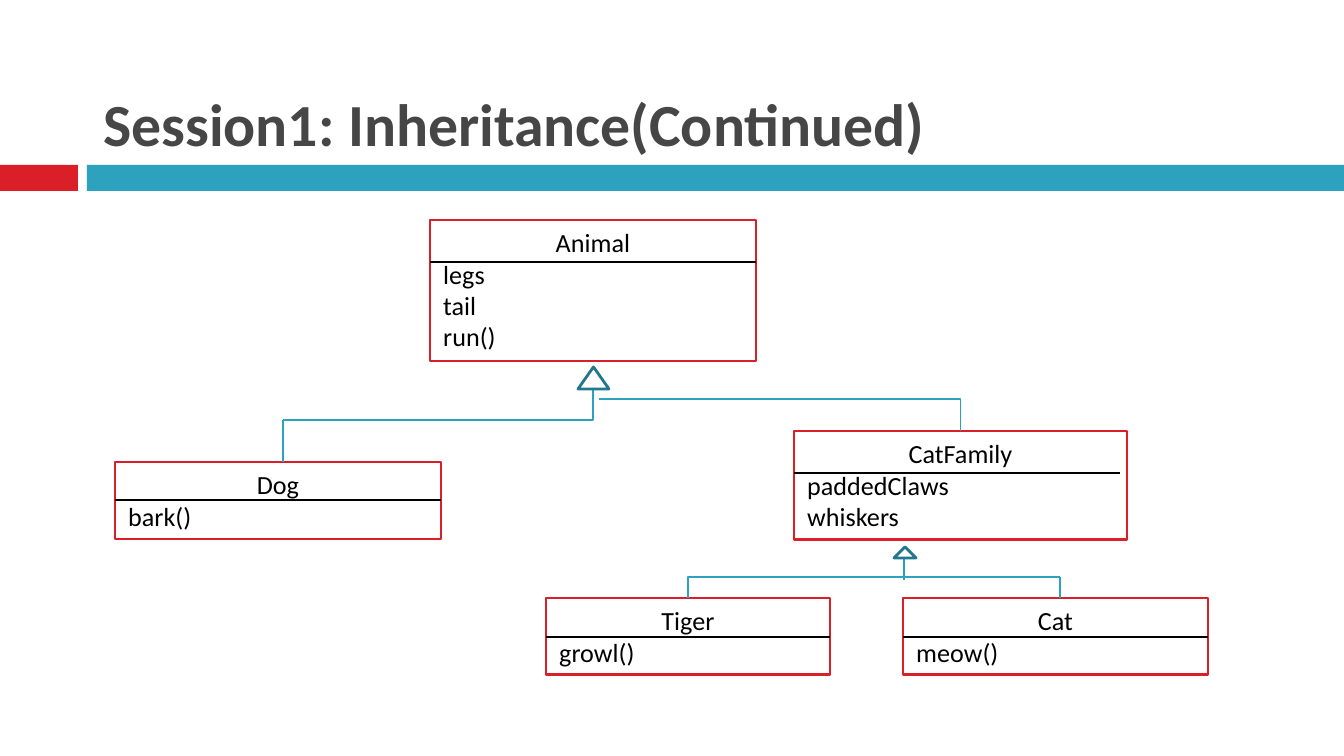
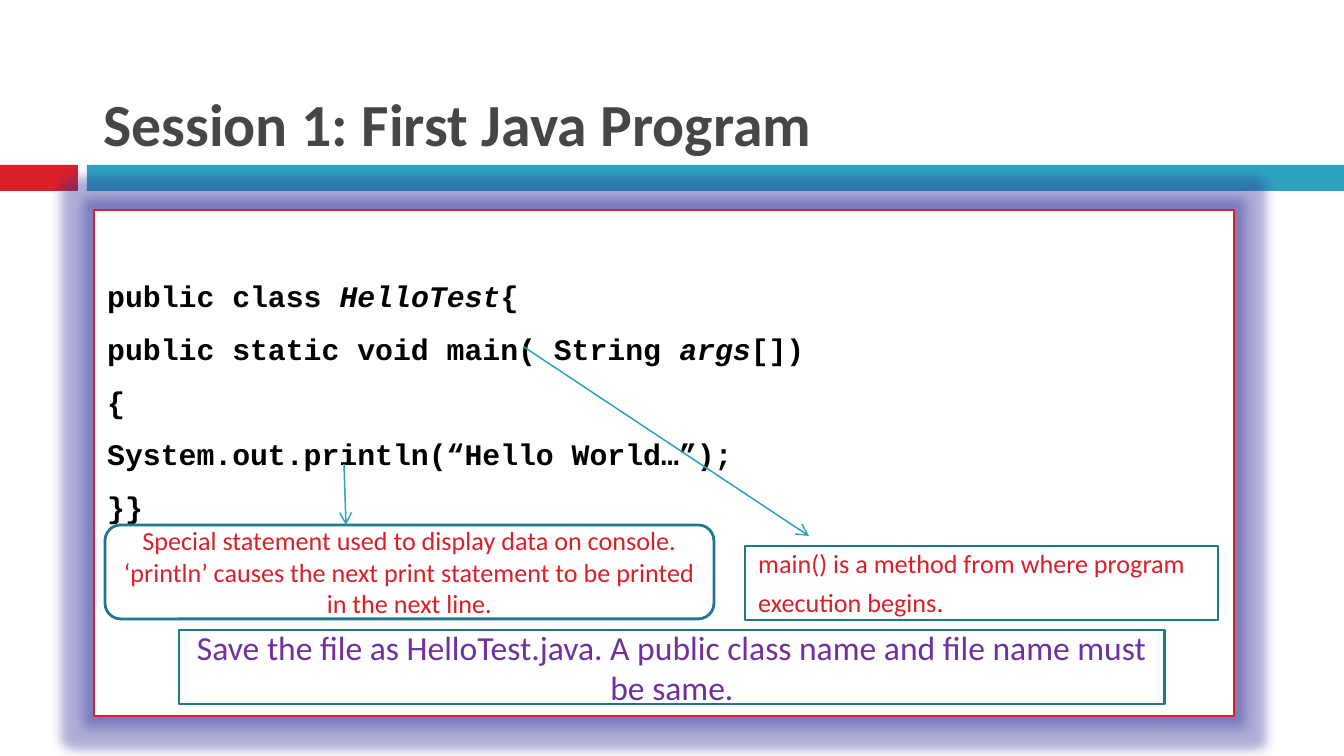
"""Build two slides on inheritance and a first Java program."""
import pptx
import pptx.util
import pptx.dml.color
import pptx.enum.shapes
import pptx.enum.text
import pptx.oxml
import pptx.oxml.ns

SCALE = 914400 / 134.4
SLIDE_WIDTH, SLIDE_HEIGHT = 1344, 756
COLORS = {
    "red": "DA1F28", "teal": "2DA2BF", "dark_teal": "21788D", "title": "464646",
    "purple": "7030A0", "black": "000000", "white": "FFFFFF", "glow": "333399",
}
SHAPES = pptx.enum.shapes.MSO_SHAPE
CONNECTORS = pptx.enum.shapes.MSO_CONNECTOR
ALIGN = pptx.enum.text.PP_ALIGN
ANCHOR = pptx.enum.text.MSO_ANCHOR
NAMESPACE = pptx.oxml.ns.nsdecls("a")
TOP_SIDE = 0

BANDS = [((0, 165, 78, 26), "red"), ((87, 165, 1257, 26), "teal")]
TITLE_AREA = (90, 17, 1254, 148)

INHERITANCE_TITLE = "Session1: Inheritance(Continued)"
CLASSES = [
    {"name": "Animal", "members": ["legs", "tail", "run()"],
     "corner": (430, 220), "width": 326, "header": 42},
    {"name": "Dog", "members": ["bark()"],
     "corner": (115, 462), "width": 326, "header": 38},
    {"name": "CatFamily", "members": ["paddedClaws", "whiskers"],
     "corner": (794, 431), "width": 333, "header": 42, "divider": 326},
    {"name": "Tiger", "members": ["growl()"],
     "corner": (546, 598), "width": 284, "header": 39},
    {"name": "Cat", "members": ["meow()"],
     "corner": (903, 598), "width": 305, "header": 39},
]
CLASS_PADDING, CLASS_LINE = 13, 32
INHERITANCE_HEADS = [(578, 367, 31, 22), (894, 547, 22, 11)]
STRAIGHT_BRANCHES = [
    ((283, 420), (283, 462)), ((904, 558), (904, 580)), ((1060, 577), (1060, 598)),
]
BENT_BRANCHES = [
    ((283, 420), (593, 388), None),
    ((599, 399), (960, 431), "CatFamily"),
    ((1060, 577), (688, 598), "Tiger"),
]

PROGRAM_TITLE = "Session 1: First Java Program"
CODE_AREA = (94, 210, 1140, 506)
CODE_TOP_MARGIN = 68
CODE = [
    [("public class ", False), ("HelloTest", True), ("{", False)],
    [("public static void main( String ", False), ("args", True), ("[])", False)],
    [("{", False)],
    [("System.out.println(“Hello World…”);", False)],
    [("}}", False)],
]
NOTES = [
    {"kind": SHAPES.RECTANGLE, "area": (745, 546, 473, 74), "size": 14,
     "color": "red", "align": ALIGN.LEFT,
     "text": "main() is a method from where program execution begins",
     "stop": (".", "Cabin", 18)},
    {"kind": SHAPES.ROUNDED_RECTANGLE, "area": (105, 525, 609, 94), "size": 14,
     "color": "red", "align": ALIGN.CENTER,
     "text": "Special statement used to display data on console. ‘println’ causes "
             "the next print statement to be printed in the next line."},
    {"kind": SHAPES.RECTANGLE, "area": (179, 630, 986, 74), "size": 18,
     "color": "purple", "align": ALIGN.CENTER,
     "text": "Save the file as HelloTest.java. A public class name and file name "
             "must be same."},
]
NOTE_ARROWS = [((524, 347), (809, 536)), ((344, 464), (346, 525))]


def px(value):
    return pptx.util.Emu(round(value * SCALE))


def rgb(name):
    return pptx.dml.color.RGBColor.from_string(COLORS[name])


def style_font(font, size, color, family="Calibri", bold=False):
    font.size = pptx.util.Pt(size)
    font.name = family
    font.bold = bold
    font.color.rgb = rgb(color)


def add_box(page, area, kind=SHAPES.RECTANGLE, fill="white", line=None):
    box = page.shapes.add_shape(kind, *map(px, area))
    box.shadow.inherit = False
    box.fill.solid()
    box.fill.fore_color.rgb = rgb(fill)
    if line:
        box.line.color.rgb = rgb(line)
        box.line.width = pptx.util.Pt(1.5)
    else:
        box.line.fill.background()
    box.text_frame.word_wrap = True
    return box


def add_line(page, start, end, color, kind=CONNECTORS.STRAIGHT, arrow=False):
    line = page.shapes.add_connector(kind, *map(px, start + end))
    line.line.color.rgb = rgb(color)
    line.line.width = pptx.util.Pt(0.79)
    properties = line._element.spPr
    properties.append(pptx.oxml.parse_xml(f"<a:effectLst {NAMESPACE}/>"))
    if kind == CONNECTORS.ELBOW:
        properties.prstGeom.set("prst", "bentConnector2")
    if arrow:
        line.line._get_or_add_ln().append(
            pptx.oxml.parse_xml(f'<a:tailEnd {NAMESPACE} type="arrow"/>'))
    return line


def add_page(deck, title):
    page = deck.slides.add_slide(deck.slide_layouts[6])
    for area, color in BANDS:
        add_box(page, area, fill=color)
    box = page.shapes.add_textbox(*map(px, TITLE_AREA))
    box.text_frame.word_wrap = True
    box.text_frame.vertical_anchor = ANCHOR.BOTTOM
    para = box.text_frame.paragraphs[0]
    para.text = title
    style_font(para.font, 32, "title", bold=True)
    return page


def add_class(page, name, members, corner, width, header, divider=None):
    left, top = corner
    height = CLASS_PADDING + CLASS_LINE * (1 + len(members))
    box = add_box(page, (left, top, width, height), line="red")
    frame = box.text_frame
    frame.vertical_anchor = ANCHOR.TOP
    frame.text = "\n".join([name] + members)
    for index, para in enumerate(frame.paragraphs):
        para.alignment = ALIGN.LEFT if index else ALIGN.CENTER
        style_font(para.font, 14, "black")
    rule = top + header
    add_line(page, (left, rule), (left + (divider or width), rule), "black")
    return box


def build_inheritance(deck):
    page = add_page(deck, INHERITANCE_TITLE)
    boxes = {entry["name"]: add_class(page, **entry) for entry in CLASSES}
    for start, end in STRAIGHT_BRANCHES:
        add_line(page, start, end, "teal")
    for start, end, child in BENT_BRANCHES:
        branch = add_line(page, start, end, "teal", CONNECTORS.ELBOW)
        if child:
            branch.end_connect(boxes[child], TOP_SIDE)
    for area in INHERITANCE_HEADS:
        add_box(page, area, SHAPES.ISOSCELES_TRIANGLE, line="dark_teal")


def add_code(page):
    box = add_box(page, CODE_AREA, line="red")
    box._element.spPr.find(pptx.oxml.ns.qn("a:effectLst")).append(pptx.oxml.parse_xml(
        f'<a:glow {NAMESPACE} rad="139700"><a:srgbClr val="{COLORS["glow"]}">'
        '<a:alpha val="40000"/></a:srgbClr></a:glow>'))
    frame = box.text_frame
    frame.vertical_anchor = ANCHOR.TOP
    frame.margin_top = px(CODE_TOP_MARGIN)
    for index, spans in enumerate(CODE):
        para = frame.add_paragraph() if index else frame.paragraphs[0]
        para.alignment = ALIGN.LEFT
        if index:
            para.space_before = pptx.util.Pt(9)
        style_font(para.font, 16, "black", "Courier New", bold=True)
        for text, italic in spans:
            span = para.add_run()
            span.text = text
            span.font.italic = italic


def add_note(page, kind, area, size, color, align, text, stop=None):
    box = add_box(page, area, kind, line="dark_teal")
    box.text_frame.vertical_anchor = ANCHOR.MIDDLE
    para = box.text_frame.paragraphs[0]
    para.text = text
    para.alignment = align
    style_font(para.font, size, color)
    if stop:
        mark, family, mark_size = stop
        span = para.add_run()
        span.text = mark
        style_font(span.font, mark_size, color, family)


def build_program(deck):
    page = add_page(deck, PROGRAM_TITLE)
    add_code(page)
    for note in NOTES:
        add_note(page, **note)
    for start, end in NOTE_ARROWS:
        add_line(page, start, end, "teal", arrow=True)


def main():
    deck = pptx.Presentation()
    deck.slide_width, deck.slide_height = px(SLIDE_WIDTH), px(SLIDE_HEIGHT)
    build_inheritance(deck)
    build_program(deck)
    deck.save("out.pptx")


if __name__ == "__main__":
    main()
